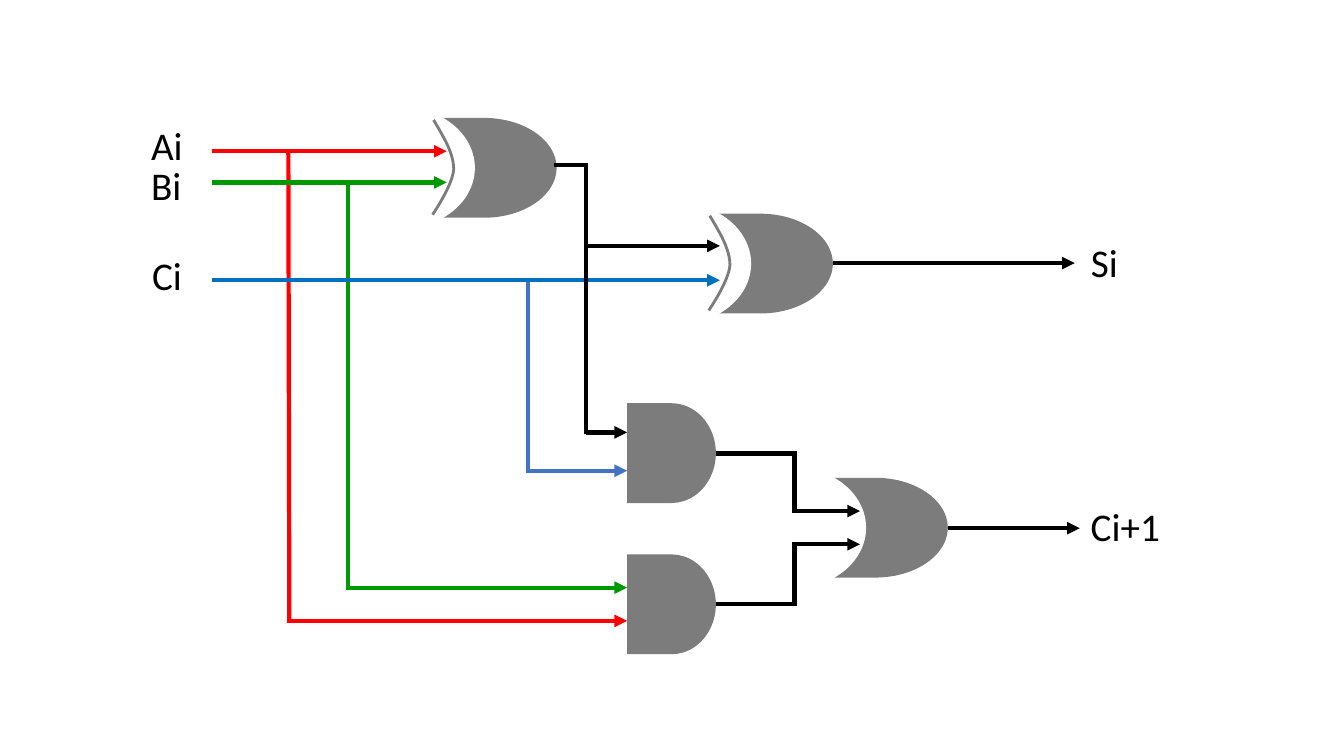
from pptx import Presentation
from pptx.dml.color import RGBColor
from pptx.enum.shapes import MSO_CONNECTOR as LINK, MSO_SHAPE as SHAPE
from pptx.enum.text import MSO_AUTO_SIZE as FIT
from pptx.oxml.ns import qn
from pptx.util import Inches, Pt
from lxml.etree import SubElement

BLACK = RGBColor(0x00, 0x00, 0x00)
WHITE = RGBColor(0xFF, 0xFF, 0xFF)
GRAY = RGBColor(0x7C, 0x7C, 0x7C)
RED = RGBColor(0xFF, 0x00, 0x00)
GREEN = RGBColor(0x00, 0x99, 0x00)
BLUE = RGBColor(0x00, 0x70, 0xC0)
CARRY_BLUE = RGBColor(0x44, 0x72, 0xC4)

GATE_HEIGHT = 0.99
ARC_CURVES = [
    [(0.01, 0), (0.11, 0.17), (0.21, 0.33), (0.21, 0.49)],
    [(0.21, 0.49), (0.2, 0.65), (0, 0.94), (0, 0.94)],
]
ARC_STEPS = 12


def add_solid(shapes, kind, box, color, rotation=0):
    solid = shapes.add_shape(kind, *[Inches(value) for value in box])
    solid.rotation = rotation
    solid.shadow.inherit = False
    solid.fill.solid()
    solid.fill.fore_color.rgb = color
    solid.line.fill.background()


def curve_point(curve, step):
    t = step / ARC_STEPS
    weights = [(1 - t) ** 3, 3 * t * (1 - t) ** 2, 3 * t ** 2 * (1 - t), t ** 3]
    return [sum(w * point[axis] for w, point in zip(weights, curve)) for axis in (0, 1)]


def add_input_arc(shapes, left, top):
    points = [ARC_CURVES[0][0]]
    for curve in ARC_CURVES:
        points += [curve_point(curve, step) for step in range(1, ARC_STEPS + 1)]
    places = [(Inches(left + x), Inches(top + y)) for x, y in points]
    builder = shapes.build_freeform(*places[0])
    builder.add_line_segments(places[1:], close=False)
    arc = builder.convert_to_shape()
    arc.shadow.inherit = False
    arc.fill.background()
    arc.line.color.rgb = GRAY
    arc.line.width = Pt(2)


def add_or_gate(page, left, top, exclusive=False):
    shapes = page.shapes.add_group_shape().shapes
    add_solid(shapes, SHAPE.FLOWCHART_STORED_DATA,
              (left, top, 4.32, GATE_HEIGHT), GRAY, 180)
    add_solid(shapes, SHAPE.FLOWCHART_STORED_DATA,
              (left - 0.92, top - 0.11, 4.43, 1.21), WHITE, 180)
    if exclusive:
        add_input_arc(shapes, left + 3.09, top + 0.02)


def add_and_gate(page, left, top):
    add_solid(page.shapes, SHAPE.FLOWCHART_DELAY, (left, top, 0.88, GATE_HEIGHT), GRAY)


def add_wire(page, color, start, end, arrow=False):
    wire = page.shapes.add_connector(LINK.STRAIGHT, *[Inches(v) for v in start + end])
    wire.line.color.rgb = color
    wire.line.width = Pt(3)
    properties = wire._element.spPr
    if arrow:
        SubElement(properties.find(qn("a:ln")), qn("a:tailEnd"), type="triangle")
    SubElement(properties, qn("a:effectLst"))


def add_label(page, text, left, top, width=0.58):
    box = page.shapes.add_textbox(Inches(left), Inches(top), Inches(width), Inches(0.57))
    frame = box.text_frame
    frame.word_wrap = True
    frame.auto_size = FIT.SHAPE_TO_FIT_TEXT
    span = frame.paragraphs[0].add_run()
    span.text = text
    span.font.name = "Calibri"
    span.font.size = Pt(28)
    span.font.color.rgb = BLACK


def add_full_adder(page):
    add_or_gate(page, 3.94, 2.12, exclusive=True)
    add_or_gate(page, 5.08, 4.74)
    for top in (4, 5.5):
        add_and_gate(page, 6.22, top)
    add_or_gate(page, 1.2, 1.17, exclusive=True)

    branches = [
        (RED, (2.86, 1.5), (2.87, 6.18)),
        (GREEN, (3.45, 1.81), (3.45, 5.85)),
        (CARRY_BLUE, (5.24, 2.78), (5.24, 4.69)),
        (BLACK, (5.49, 1.64), (5.81, 1.64)),
        (BLACK, (7.1, 4.5), (7.9, 4.5)),
        (BLACK, (7.88, 4.48), (7.88, 5.09)),
        (BLACK, (7.1, 5.99), (7.9, 5.99)),
        (BLACK, (7.88, 5.38), (7.88, 6.01)),
    ]
    arrows = [
        (RED, 2.1, 4.43, 1.5),
        (GREEN, 2.1, 4.43, 1.81),
        (RED, 2.86, 6.22, 6.16),
        (GREEN, 3.43, 6.22, 5.83),
        (BLUE, 2.1, 7.14, 2.78),
        (CARRY_BLUE, 5.24, 6.22, 4.67),
        (BLACK, 5.81, 7.14, 2.44),
        (BLACK, 5.81, 6.22, 4.29),
        (BLACK, 7.88, 8.53, 5.07),
        (BLACK, 7.88, 8.53, 5.4),
        (BLACK, 8.26, 10.66, 2.61),
        (BLACK, 9.4, 10.71, 5.24),
    ]
    for color, start, end in branches:
        add_wire(page, color, start, end)
    for color, left, right, height in arrows:
        add_wire(page, color, (left, height), (right, height), arrow=True)
    add_wire(page, BLACK, (5.81, 1.62), (5.81, 4.31))

    add_label(page, "Ai", 1.4, 1.15)
    add_label(page, "Bi", 1.4, 1.55)
    add_label(page, "Ci", 1.41, 2.44)
    add_label(page, "Si", 10.72, 2.32)
    add_label(page, "Ci+1", 10.72, 4.93, 0.96)


deck = Presentation()
deck.slide_width = Inches(13.33)
deck.slide_height = Inches(7.5)
add_full_adder(deck.slides.add_slide(deck.slide_layouts[6]))
deck.save("out.pptx")
